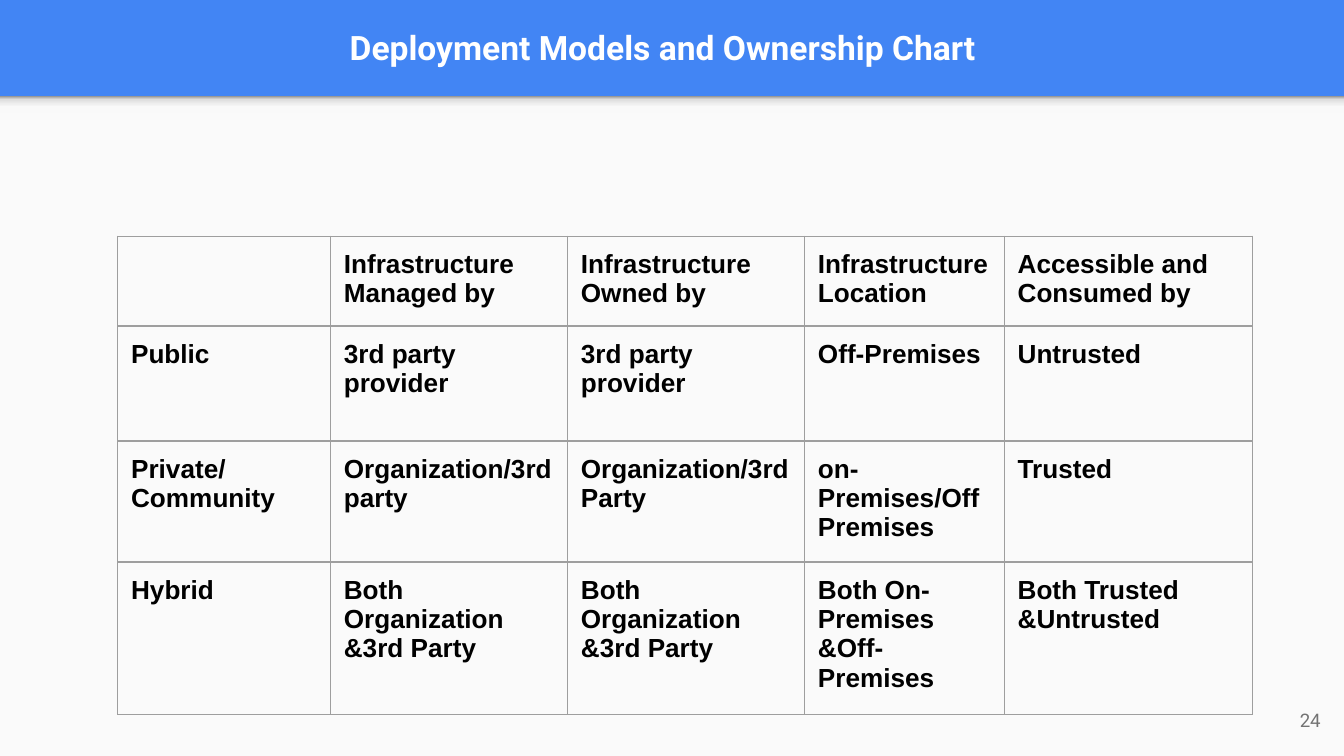
"""Build the deployment models and ownership slide."""
from dataclasses import dataclass

from lxml import etree
from pptx import Presentation
from pptx.dml.color import RGBColor
from pptx.enum.shapes import MSO_SHAPE
from pptx.enum.text import MSO_ANCHOR, PP_ALIGN
from pptx.oxml import parse_xml
from pptx.oxml.ns import nsdecls, qn
from pptx.util import Pt

RECTANGLE = MSO_SHAPE.RECTANGLE
MIDDLE, TOP = MSO_ANCHOR.MIDDLE, MSO_ANCHOR.TOP
LEFT, CENTER, RIGHT = PP_ALIGN.LEFT, PP_ALIGN.CENTER, PP_ALIGN.RIGHT

TITLE = "Deployment Models and Ownership Chart"
PAGE_NUMBER = "24"
ROWS = [
    ("", "Infrastructure Managed by", "Infrastructure Owned by",
     "Infrastructure Location", "Accessible and Consumed by"),
    ("Public", "3rd party provider", "3rd party provider",
     "Off-Premises", "Untrusted"),
    ("Private/Community", "Organization/3rd party", "Organization/3rd Party",
     "on-Premises/Off Premises", "Trusted"),
    ("Hybrid", "Both Organization &3rd Party", "Both Organization &3rd Party",
     "Both On-Premises &Off-Premises", "Both Trusted &Untrusted"),
]

SLIDE_WIDTH, SLIDE_HEIGHT = 720, 405
BANNER_HEIGHT = 51.6
SHADE_HEIGHT = 8.8
TITLE_BOX = (7.8, 1.6, 694.6, 47.4)
NUMBER_BOX = (671.4, 370.2, 43.2, 31)
TABLE_ORIGIN = (63, 126.6)
COLUMN_WIDTHS = [114, 127, 127, 107, 133]
ROW_HEIGHTS = [45.6, 61.6, 61.6, 77]
INSET = 7.2


@dataclass(frozen=True)
class Theme:
    banner: str = "4285F4"
    page: str = "FAFAFA"
    title: str = "FFFFFF"
    number: str = "737373"
    body: str = "000000"
    border: str = "9E9E9E"
    shade: tuple = ((0, "F9F9F9"), (36, "F9F9F9"), (80, "DEDEDE"), (100, "999999"))
    heading_font: str = "Roboto"
    body_font: str = "Arial"
    title_size: int = 18
    body_size: int = 14
    number_size: int = 10
    border_width: float = 0.75


THEME = Theme()


def write(paragraph, text, font, size, color, bold, alignment):
    paragraph.alignment = alignment
    run = paragraph.add_run()
    run.text = text
    run.font.name = font
    run.font.size = Pt(size)
    run.font.bold = bold
    run.font.color.rgb = RGBColor.from_string(color)


def set_insets(holder):
    holder.margin_left = holder.margin_right = Pt(INSET)
    holder.margin_top = holder.margin_bottom = Pt(INSET)


def add_text(slide, box, *style):
    frame = slide.shapes.add_textbox(*map(Pt, box)).text_frame
    frame.word_wrap = True
    frame.vertical_anchor = MIDDLE
    set_insets(frame)
    write(frame.paragraphs[0], *style)


def add_panel(slide, top, height):
    shape = slide.shapes.add_shape(RECTANGLE, 0, Pt(top), Pt(SLIDE_WIDTH), Pt(height))
    shape.shadow.inherit = False
    shape.line.fill.background()
    shape.fill.solid()
    shape.fill.fore_color.rgb = RGBColor.from_string(THEME.page)
    return shape


def shade_upward(shape):
    shape.fill.gradient()
    shape.fill.gradient_angle = 90
    stops = shape.fill._fill._gradFill.find(qn("a:gsLst"))
    for stop in list(stops):
        stops.remove(stop)
    for position, color in THEME.shade:
        stop = etree.SubElement(stops, qn("a:gs"), pos=str(position * 1000))
        etree.SubElement(stop, qn("a:srgbClr"), val=color)


def add_borders(cell):
    properties = cell._tc.get_or_add_tcPr()
    for side in ("lnL", "lnR", "lnT", "lnB"):
        properties.append(parse_xml(
            f'<a:{side} {nsdecls("a")} w="{Pt(THEME.border_width)}"><a:solidFill>'
            f'<a:srgbClr val="{THEME.border}"/></a:solidFill></a:{side}>'))


def add_ownership_table(slide):
    size = (sum(COLUMN_WIDTHS), sum(ROW_HEIGHTS))
    table = slide.shapes.add_table(
        len(ROWS), len(COLUMN_WIDTHS), *map(Pt, TABLE_ORIGIN + size)).table
    table.first_row = table.horz_banding = False
    for column, width in zip(table.columns, COLUMN_WIDTHS):
        column.width = Pt(width)
    for row, height, texts in zip(table.rows, ROW_HEIGHTS, ROWS):
        row.height = Pt(height)
        for cell, text in zip(row.cells, texts):
            set_insets(cell)
            cell.vertical_anchor = TOP
            add_borders(cell)
            cell.fill.background()
            if text:
                write(cell.text_frame.paragraphs[0], text, THEME.body_font,
                      THEME.body_size, THEME.body, True, LEFT)


def main():
    presentation = Presentation()
    presentation.slide_width = Pt(SLIDE_WIDTH)
    presentation.slide_height = Pt(SLIDE_HEIGHT)
    slide = presentation.slides.add_slide(presentation.slide_layouts[6])
    slide.background.fill.solid()
    slide.background.fill.fore_color.rgb = RGBColor.from_string(THEME.banner)

    add_panel(slide, BANNER_HEIGHT, SLIDE_HEIGHT - BANNER_HEIGHT)
    shade_upward(add_panel(slide, BANNER_HEIGHT, SHADE_HEIGHT))
    add_text(slide, TITLE_BOX, TITLE, THEME.heading_font, THEME.title_size,
             THEME.title, True, CENTER)
    add_text(slide, NUMBER_BOX, PAGE_NUMBER, THEME.heading_font, THEME.number_size,
             THEME.number, False, RIGHT)
    add_ownership_table(slide)
    presentation.save("out.pptx")


if __name__ == "__main__":
    main()
